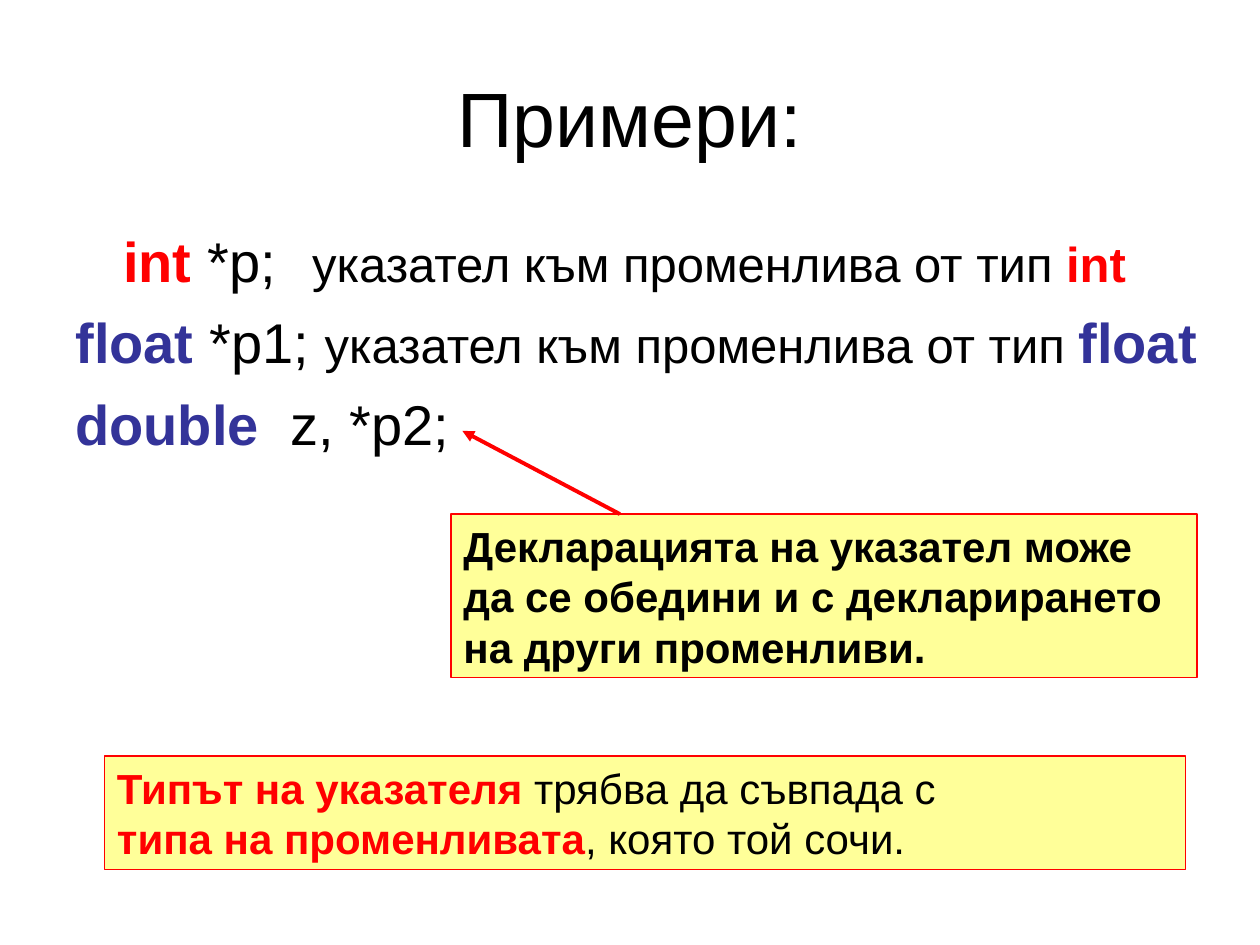
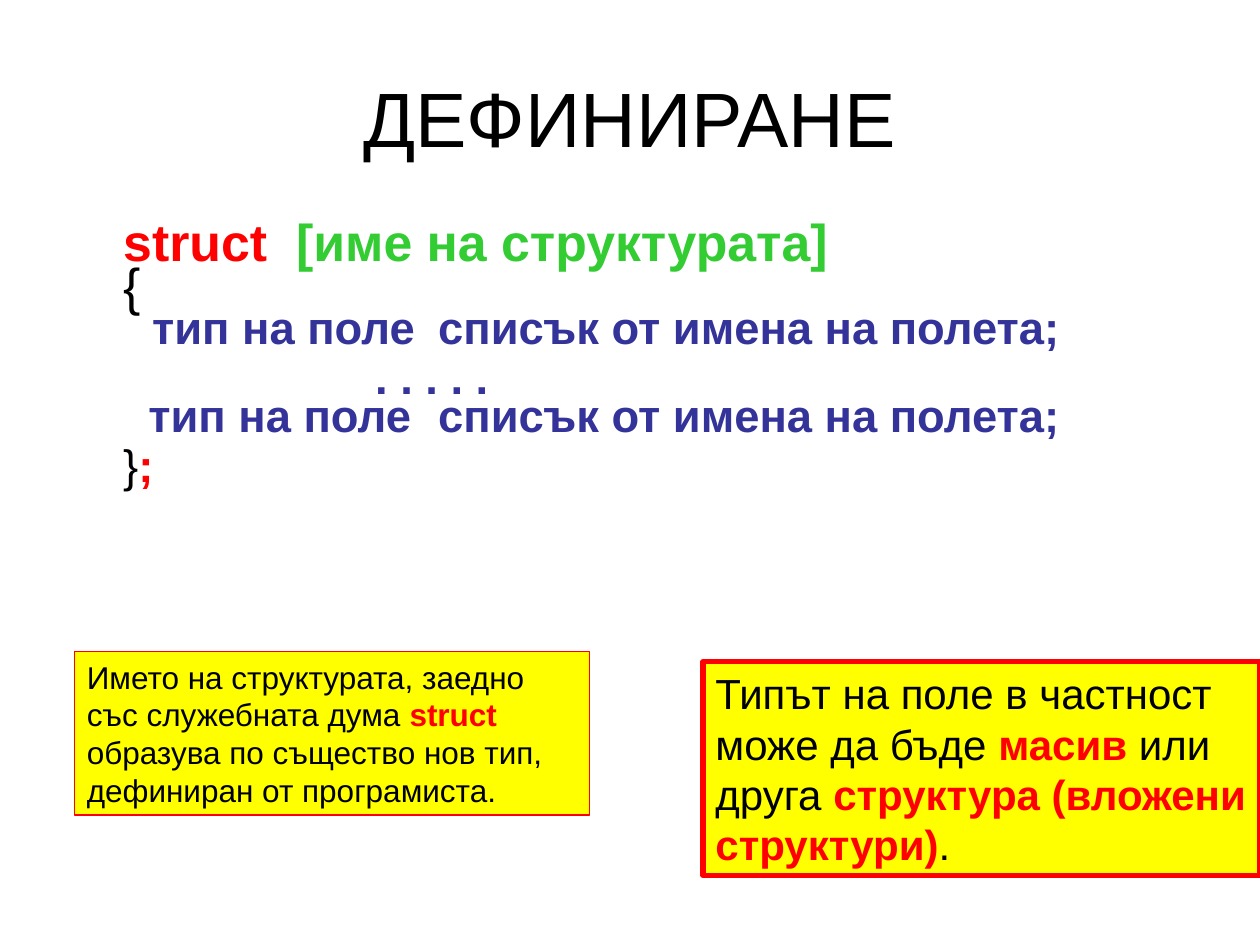
from lxml import etree
from pptx import Presentation
from pptx.dml.color import RGBColor
from pptx.enum.shapes import MSO_CONNECTOR, MSO_SHAPE
from pptx.enum.text import MSO_ANCHOR, PP_ALIGN
from pptx.oxml.ns import qn
from pptx.util import Pt

RECTANGLE = MSO_SHAPE.RECTANGLE
STRAIGHT = MSO_CONNECTOR.STRAIGHT
TOP, MIDDLE = MSO_ANCHOR.TOP, MSO_ANCHOR.MIDDLE
LEFT, CENTER = PP_ALIGN.LEFT, PP_ALIGN.CENTER

PX = 9144
FONT = "Arial"
COLORS = {
    "ink": "000000",
    "red": "FF0000",
    "navy": "333399",
    "green": "33CC33",
    "cream": "FFFF99",
    "yellow": "FFFF00",
}


def rgb(name):
    return RGBColor.from_string(COLORS[name])


def plain(text, size, color="ink"):
    return text, size, color, False


def strong(text, size, color="red"):
    return text, size, color, True


def line(*runs, before=0, spacing=1.0, margin=0, indent=0, tab=None):
    return {"runs": runs, "before": before, "spacing": spacing,
            "margin": margin, "indent": indent, "tab": tab}


class Deck:
    """Builds slides that share one lecture style."""

    def __init__(self):
        self.prs = Presentation()
        self.prs.slide_width, self.prs.slide_height = 1000 * PX, 750 * PX
        self.slide = None

    def new_slide(self, heading):
        self.slide = self.prs.slides.add_slide(self.prs.slide_layouts[6])
        self.text((50, 30, 900, 125), [line(plain(heading, 44))], MIDDLE, CENTER)

    def text(self, box, lines, anchor=TOP, align=LEFT):
        holder = self.slide.shapes.add_textbox(*(v * PX for v in box))
        self.fill_text(holder.text_frame, lines, anchor, align)

    def note(self, box, lines, fill, border=0.75):
        panel = self.slide.shapes.add_shape(RECTANGLE, *(v * PX for v in box))
        panel.shadow.inherit = False
        panel.fill.solid()
        panel.fill.fore_color.rgb = rgb(fill)
        panel.line.color.rgb = rgb("red")
        panel.line.width = Pt(border)
        self.fill_text(panel.text_frame, lines, TOP, LEFT)

    def arrow(self, start, end):
        pointer = self.slide.shapes.add_connector(
            STRAIGHT, *(v * PX for v in start + end))
        pointer.line.color.rgb = rgb("red")
        pointer.line.width = Pt(2.25)
        outline = pointer.line._get_or_add_ln()
        etree.SubElement(outline, qn("a:tailEnd"), type="triangle")
        etree.SubElement(pointer._element.spPr, qn("a:effectLst"))

    def fill_text(self, frame, lines, anchor, align):
        frame.word_wrap = True
        frame.vertical_anchor = anchor
        for number, content in enumerate(lines):
            paragraph = frame.paragraphs[0] if number == 0 else frame.add_paragraph()
            self.fill_line(paragraph, content, align)

    def fill_line(self, paragraph, content, align):
        paragraph.alignment = align
        paragraph.space_before = Pt(content["before"])
        paragraph.line_spacing = content["spacing"]
        properties = paragraph._p.get_or_add_pPr()
        properties.set("marL", str(content["margin"] * PX))
        properties.set("indent", str(content["indent"] * PX))
        if content["tab"]:
            stops = etree.SubElement(properties, qn("a:tabLst"))
            etree.SubElement(stops, qn("a:tab"), pos=str(content["tab"] * PX), algn="l")
        paragraph.font.name = FONT
        texts, *styles = zip(*content["runs"])
        runs = [paragraph.add_run() for _ in texts]
        for run, text in zip(runs, texts):
            run.text = text
        for apply, values in zip((self.size, self.color, self.bold), styles):
            if len(set(values)) == 1:
                apply(paragraph.font, values[0])
            else:
                for run, value in zip(runs, values):
                    apply(run.font, value)

    @staticmethod
    def size(font, value):
        font.size = Pt(value)

    @staticmethod
    def color(font, value):
        font.color.rgb = rgb(value)

    @staticmethod
    def bold(font, value):
        font.bold = value


def add_examples(deck):
    deck.new_slide("Примери:")
    meaning = plain("указател към променлива от тип ", 28)
    deck.text((50, 175, 917, 495), [
        line(strong("int", 32), plain(" *p;\t", 32), meaning, strong("int", 28),
             before=7, margin=38, tab=200),
        line(strong("float", 32, "navy"), plain(" *p1; ", 32), meaning,
             strong("float", 32, "navy"), before=8),
        line(strong("double  ", 32, "navy"), plain("z, *p2;", 32), before=8),
    ])
    deck.note((358, 408, 592, 130), [
        line(strong("Декларацията на указател може да се обедини и с "
                    "декларирането на други променливи.", 24, "ink")),
    ], "cream")
    deck.arrow((492, 408), (367, 342))
    deck.note((83, 600, 858, 90), [
        line(strong("Типът на указателя", 24), plain(" трябва да съвпада с", 24)),
        line(strong("типа на променливата", 24), plain(", която той сочи.", 24)),
    ], "cream")


def add_definition(deck):
    deck.new_slide("ДЕФИНИРАНЕ")
    code = {"spacing": 0.7, "margin": 38}
    field = strong("тип на поле\tсписък от имена на полета;", 25.9, "navy")
    deck.text((50, 175, 900, 381), [
        line(strong("struct  ", 29.6), strong("[име на структурата]", 29.6, "green"),
             before=7, **code),
        line(plain("{", 29.6), **code),
        line(field, indent=23, tab=310, **code),
        line(strong(". . . . .", 25.9, "navy"), before=7, indent=200, **code),
        line(field, indent=20, tab=310, **code),
        line(plain("}", 25.9), strong(";", 25.9), before=7, **code),
    ])
    deck.note((558, 525, 442, 170), [
        line(plain("Типът на поле в частност може да бъде ", 24), strong("масив", 24),
             plain(" или друга ", 24), strong("структура (вложени структури)", 24),
             plain(".", 24)),
    ], "yellow", border=3)
    deck.note((59, 517, 409, 130), [
        line(plain("Името на структурата, заедно със служебната дума ", 18),
             strong("struct ", 18),
             plain("образува по същество нов тип, дефиниран от програмиста.", 18)),
    ], "yellow")


def main():
    deck = Deck()
    add_examples(deck)
    add_definition(deck)
    deck.prs.save("out.pptx")


if __name__ == "__main__":
    main()
